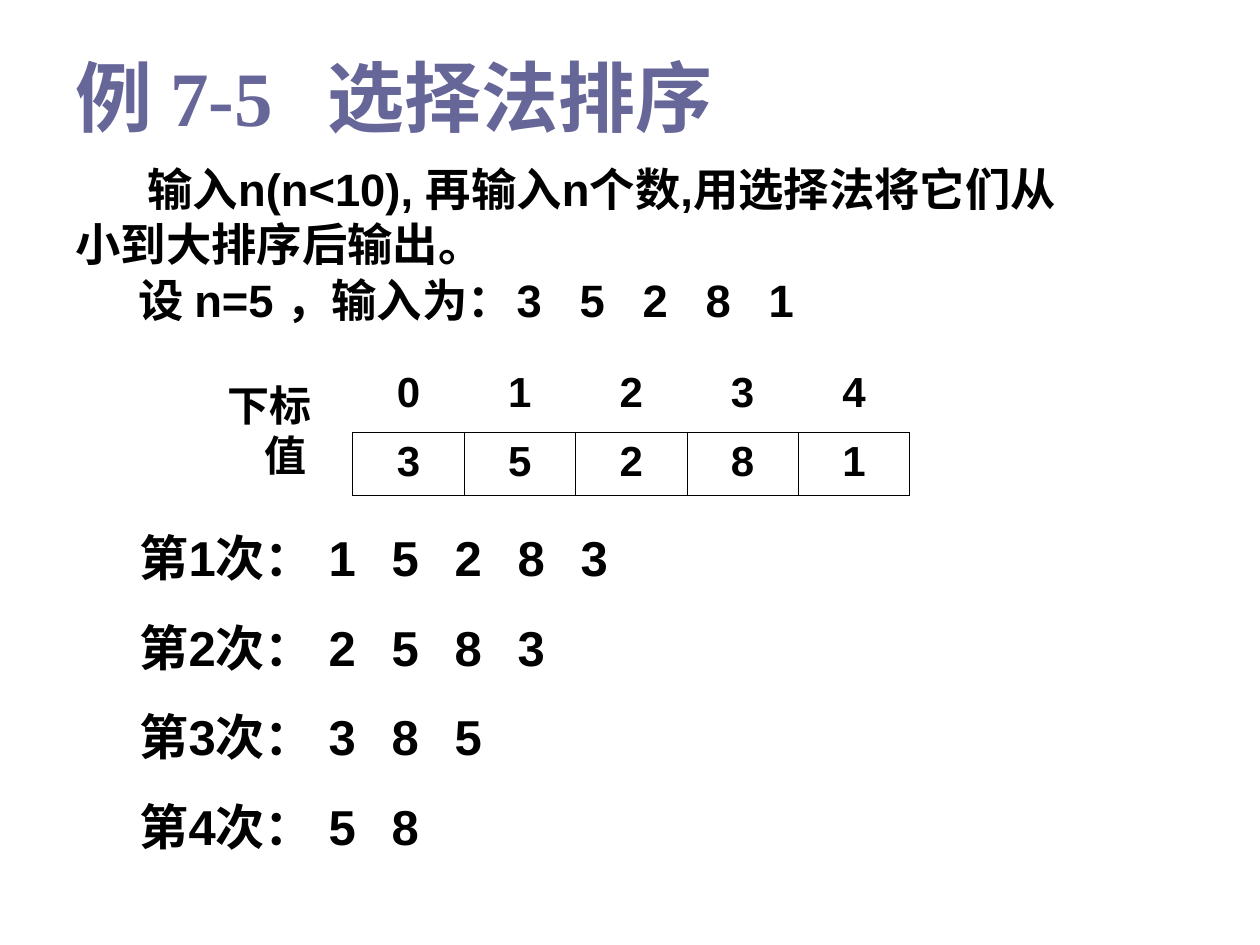
from pptx import Presentation
from pptx.dml.color import RGBColor
from pptx.enum.text import MSO_ANCHOR, MSO_AUTO_SIZE, PP_ALIGN
from pptx.oxml.ns import qn
from pptx.util import Inches, Pt
from lxml.etree import SubElement

BLACK = RGBColor(0x00, 0x00, 0x00)
SLATE = RGBColor(0x66, 0x66, 0x99)
NO_STYLE = "{2D5ABB26-0587-4C30-8999-92F81FD0307C}"

# Each step: label, sorted numbers still listed, and their tab stops in inches
STEPS = [
    ("第1次：", "15283", (2.52, 3.37, 4.35, 5.21, 6.07)),
    ("第2次：", "2583", (3.22, 4.19, 5.06, 5.91)),
    ("第3次：", "385", (4.01, 4.87, 5.74)),
    ("第4次：", "58", (4.72, 5.58)),
]


def place(shape, box):
    shape.left, shape.top, shape.width, shape.height = (Inches(v) for v in box)


def set_layout(paragraph, indent=0, margin=0, tabs=()):
    """Set indents without a bullet, and left tab stops, all in inches."""
    properties = paragraph._p.get_or_add_pPr()
    properties.set("marL", str(Inches(margin)))
    properties.set("indent", str(Inches(indent)))
    SubElement(properties, qn("a:buNone"))
    if tabs:
        tab_list = SubElement(properties, qn("a:tabLst"))
        for position in tabs:
            SubElement(tab_list, qn("a:tab"), pos=str(Inches(position)), algn="l")


def format_runs(paragraph, size, color=BLACK, name="Arial"):
    for run in paragraph.runs:
        font = run.font
        font.name, font.size, font.bold = name, Pt(size), True
        font.color.rgb = color


def add_title(slide, box):
    title = slide.shapes.title
    place(title, box)
    frame = title.text_frame
    frame.text = "例 7-5\t选择法排序"
    frame.vertical_anchor = MSO_ANCHOR.MIDDLE
    frame.auto_size = MSO_AUTO_SIZE.NONE
    paragraph = frame.paragraphs[0]
    set_layout(paragraph, tabs=(2.16,))
    paragraph.alignment = PP_ALIGN.LEFT
    format_runs(paragraph, 44, SLATE, "Times New Roman")


def add_problem(slide, box):
    body = slide.placeholders[1]
    place(body, box)
    frame = body.text_frame
    frame.text = "\n".join([
        "输入n(n<10), 再输入n个数,用选择法将它们从",
        "小到大排序后输出。",
        "设 n=5 ，输入为：\t" + "\t".join("35281"),
    ])
    frame.auto_size = MSO_AUTO_SIZE.NONE
    number_tabs = [3.72 + 0.4 * i for i in range(5)]
    layouts = [(0.57, ()), (0, ()), (0.5, number_tabs)]
    for i, (paragraph, (indent, tabs)) in enumerate(zip(frame.paragraphs, layouts)):
        set_layout(paragraph, indent, tabs=tabs)
        paragraph.line_spacing = 0.8
        paragraph.space_before = Pt(7 if i else 0)
        format_runs(paragraph, 25.9)


def add_steps(slide, box):
    frame = slide.shapes.add_textbox(*(Inches(v) for v in box)).text_frame
    frame.word_wrap = True
    frame.text = "\n".join("\t".join([label, *numbers]) for label, numbers, _ in STEPS)
    for i, (paragraph, (_, _, tabs)) in enumerate(zip(frame.paragraphs, STEPS)):
        set_layout(paragraph, 0.5, tabs=tabs)
        paragraph.space_before = Pt(17.5 if i else 0)
        format_runs(paragraph, 28)


def add_borders(cell):
    properties = cell._tc.get_or_add_tcPr()
    for i, side in enumerate(("a:lnL", "a:lnR", "a:lnT", "a:lnB")):
        line = properties.makeelement(qn(side), {"w": str(Pt(0.45))})
        fill = SubElement(line, qn("a:solidFill"))
        SubElement(fill, qn("a:srgbClr"), val=str(BLACK))
        properties.insert(i, line)


def add_array_table(slide, box):
    rows = ["01234", "35281"]
    frame = slide.shapes.add_table(2, 5, *(Inches(v) for v in box))
    table = frame.table
    table.first_row = table.horz_banding = False
    table._tbl.tblPr.find(qn("a:tableStyleId")).text = NO_STYLE
    for row, height in zip(table.rows, (0.55, 0.5)):
        row.height = Inches(height)
    for i, values in enumerate(rows):
        for j, value in enumerate(values):
            cell = table.cell(i, j)
            cell.text = value
            cell.fill.background()
            paragraph = cell.text_frame.paragraphs[0]
            paragraph.alignment = PP_ALIGN.CENTER
            format_runs(paragraph, 24)
            if i == 1:
                add_borders(cell)


def add_row_labels(slide, box):
    frame = slide.shapes.add_textbox(*(Inches(v) for v in box)).text_frame
    frame.word_wrap = False
    frame.text = "下标\n值"
    for paragraph, margin in zip(frame.paragraphs, (0, 0.29)):
        set_layout(paragraph, margin=margin)
        format_runs(paragraph, 24)


def main():
    presentation = Presentation()
    presentation.slide_width = Inches(10)
    presentation.slide_height = Inches(7.5)
    slide = presentation.slides.add_slide(presentation.slide_layouts[1])
    add_title(slide, (0.5, 0.13, 9, 1.26))
    add_problem(slide, (0.5, 1.31, 8.91, 1.49))
    add_steps(slide, (0.51, 4.14, 7.92, 3))
    add_array_table(slide, (2.8, 2.88, 4.42, 1.05))
    add_row_labels(slide, (1.71, 2.96, 0.87, 0.9))
    presentation.save("out.pptx")


if __name__ == "__main__":
    main()
